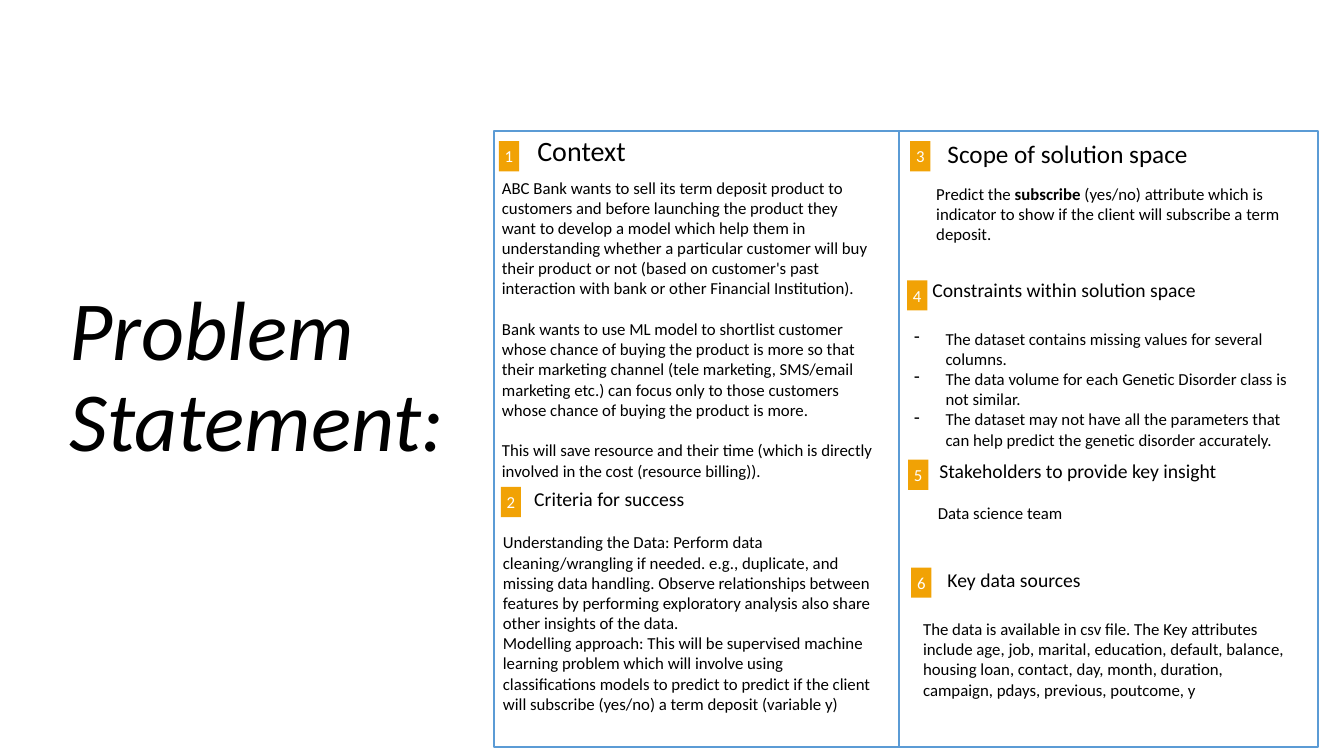
from lxml import etree
from pptx import Presentation
from pptx.dml.color import RGBColor
from pptx.enum import shapes, text
from pptx.oxml import ns
from pptx.util import Pt

COLORS = {"ink": "000000", "paper": "FFFFFF", "border": "5B9BD5", "badge": "F1A205"}
FONT = "Calibri"
BODY_SIZE = 12
BODY_INSETS = (7.2, 3.6, 7.2, 3.6)
BADGE_SIZE = (14.4, 21.6)
BLANK_LINE = 14.65
BULLET_INDENT = 22.5
PANELS = [(352.8, 93.6, 289.4, 439.9), (642.2, 93.6, 299.5, 439.9)]

# Each body paragraph is a list of (wording, bold) runs.
SECTIONS = [
    {
        "badge": (356.4, 100.8),
        "heading": ("Context", 20, (383.8, 99.4, 175.7, 16.6)),
        "area": (351.4, 123.1, 281.5, 218.2),
        "gap": BLANK_LINE,
        "body": [
            [("ABC Bank wants to sell its term deposit product to customers and before "
              "launching the product they want to develop a model which help them in "
              "understanding whether a particular customer will buy their product or not "
              "(based on customer's past interaction with bank or other Financial "
              "Institution).", False)],
            [("Bank wants to use ML model to shortlist customer whose chance of buying the "
              "product is more so that their marketing channel (tele marketing, SMS/email "
              "marketing etc.) can focus only to those customers whose chance of buying "
              "the product is more.", False)],
            [("This will save resource and their time (which is directly involved in the "
              "cost (resource billing)).", False)],
        ],
    },
    {
        "badge": (357.8, 347.8),
        "heading": ("Criteria for success", 14, (381.6, 347.8, 176.4, 17.3)),
        "area": (352.1, 376.6, 281.5, 149),
        "body": [
            [("Understanding the Data: Perform data cleaning/wrangling if needed. e.g., "
              "duplicate, and missing data handling. Observe relationships between "
              "features by performing exploratory analysis also share other insights of "
              "the data.", False)],
            [("Modelling approach: This will be supervised machine learning problem which "
              "will involve using classifications models to predict to predict if the "
              "client will subscribe (yes/no) a term deposit (variable y)", False)],
        ],
    },
    {
        "badge": (650.2, 100.8),
        "heading": ("Scope of solution space", 18, (676.8, 101.5, 175.7, 16.6)),
        "area": (661.7, 127.4, 268.6, 61.2),
        "body": [
            [("Predict the ", False), ("subscribe", True),
             (" (yes/no) attribute which is indicator to show if the client will "
              "subscribe a term deposit.", False)],
        ],
    },
    {
        "badge": (648, 200.2),
        "heading": ("Constraints within solution space", 14, (666, 198.7, 224.6, 16.6)),
        "area": (645.8, 231.1, 289.4, 136.1),
        "bullet": "-",
        "body": [
            [("The dataset contains missing values for several columns.", False)],
            [("The data volume for each Genetic Disorder class is not similar.", False)],
            [("The dataset may not have all the parameters that can help predict the "
              "genetic disorder accurately.", False)],
        ],
    },
    {
        "badge": (648.7, 328.3),
        "heading": ("Stakeholders to provide key insight", 14, (671, 326.9, 211, 18)),
        "area": (662.8, 355.7, 258.8, 25.2),
        "body": [[("Data science team", False)]],
    },
    {
        "badge": (650.9, 405.4),
        "heading": ("Key data sources", 14, (676.8, 406.1, 175.7, 16.6)),
        "area": (652.3, 438.5, 273.6, 85.7),
        "body": [
            [("The data is available in csv file. The Key attributes include age, job, "
              "marital, education, default, balance, housing loan, contact, day, month, "
              "duration, campaign, pdays, previous, poutcome, y", False)],
        ],
    },
]


def rgb(name):
    return RGBColor.from_string(COLORS[name])


def set_all(target, values):
    for attribute, value in values.items():
        setattr(target, attribute, value)


def set_frame(frame, insets, anchor):
    left, top, right, bottom = map(Pt, insets)
    set_all(frame, {
        "margin_left": left, "margin_top": top,
        "margin_right": right, "margin_bottom": bottom,
        "word_wrap": True, "vertical_anchor": anchor,
    })


def add_run(paragraph, wording, size, color="ink", **font):
    run = paragraph.add_run()
    run.text = wording
    set_all(run.font, {"name": FONT, "size": Pt(size), **font})
    run.font.color.rgb = rgb(color)


def add_box(slide, area, fill):
    box = slide.shapes.add_shape(shapes.MSO_SHAPE.RECTANGLE, *map(Pt, area))
    box.shadow.inherit = False
    box.fill.solid()
    box.fill.fore_color.rgb = rgb(fill)
    return box


def add_panel(slide, area):
    panel = add_box(slide, area, "paper")
    panel.line.color.rgb = rgb("border")
    panel.line.width = Pt(1.5)


def add_badge(slide, corner, number):
    badge = add_box(slide, (*corner, *BADGE_SIZE), "badge")
    badge.line.fill.background()
    set_frame(badge.text_frame, (3.6,) * 4, text.MSO_ANCHOR.MIDDLE)
    paragraph = badge.text_frame.paragraphs[0]
    paragraph.alignment = text.PP_ALIGN.CENTER
    add_run(paragraph, str(number), BODY_SIZE, "paper")


def add_heading(slide, wording, size, area, line_spacing=1.0, **font):
    frame = slide.shapes.add_textbox(*map(Pt, area)).text_frame
    set_frame(frame, (0,) * 4, text.MSO_ANCHOR.MIDDLE)
    frame.paragraphs[0].line_spacing = line_spacing
    add_run(frame.paragraphs[0], wording, size, **font)


def set_bullet(paragraph, mark):
    properties = paragraph._p.get_or_add_pPr()
    indent = Pt(BULLET_INDENT)
    properties.set("marL", str(indent))
    properties.set("indent", str(-indent))
    etree.SubElement(properties, ns.qn("a:buChar")).set("char", mark)


def add_body(slide, area, paragraphs, gap=0, bullet=None):
    frame = slide.shapes.add_textbox(*map(Pt, area)).text_frame
    set_frame(frame, BODY_INSETS, text.MSO_ANCHOR.TOP)
    for index, runs in enumerate(paragraphs):
        paragraph = frame.add_paragraph() if index else frame.paragraphs[0]
        paragraph.space_before = Pt(gap if index else 0)
        if bullet:
            set_bullet(paragraph, bullet)
        for wording, bold in runs:
            add_run(paragraph, wording, BODY_SIZE, bold=bold)


def main():
    deck = Presentation()
    set_all(deck, {"slide_width": Pt(960), "slide_height": Pt(540)})
    slide = deck.slides.add_slide(deck.slide_layouts[6])
    add_heading(slide, "Problem Statement:", 60, (49.7, 50.4, 269.3, 439.9),
                line_spacing=0.9, italic=True)
    for area in PANELS:
        add_panel(slide, area)
    for number, section in enumerate(SECTIONS, start=1):
        add_badge(slide, section["badge"], number)
        add_heading(slide, *section["heading"])
        add_body(slide, section["area"], section["body"],
                 section.get("gap", 0), section.get("bullet"))
    deck.save("out.pptx")


if __name__ == "__main__":
    main()
